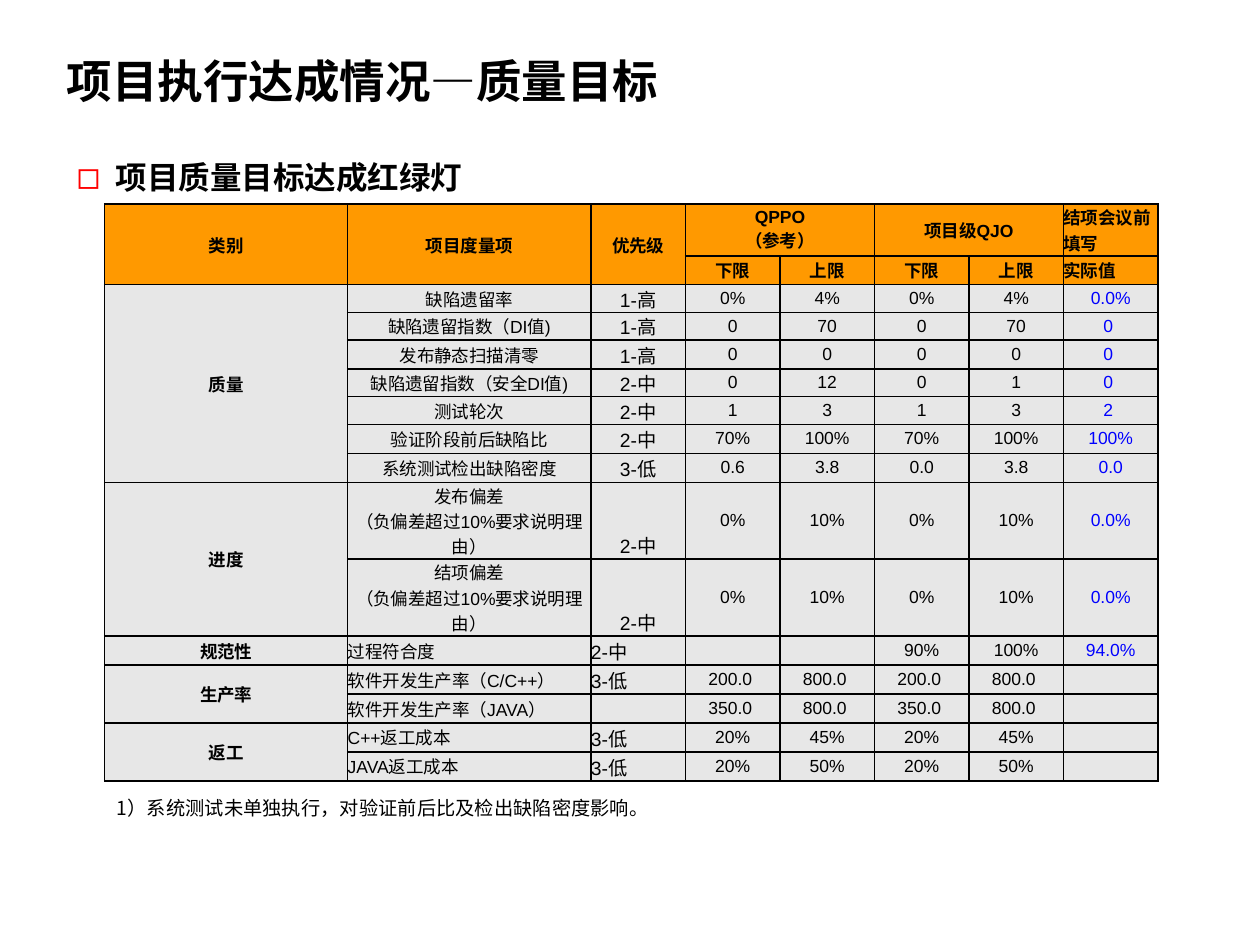
from lxml import etree
from pptx import Presentation
from pptx.dml.color import RGBColor
from pptx.enum.text import MSO_ANCHOR, MSO_AUTO_SIZE, PP_ALIGN
from pptx.oxml.ns import qn
from pptx.util import Inches, Pt

LEFT, CENTER = PP_ALIGN.LEFT, PP_ALIGN.CENTER
MIDDLE, BOTTOM = MSO_ANCHOR.MIDDLE, MSO_ANCHOR.BOTTOM
GROW, NO_FIT = MSO_AUTO_SIZE.SHAPE_TO_FIT_TEXT, MSO_AUTO_SIZE.NONE

BLACK = RGBColor(0x00, 0x00, 0x00)
RED = RGBColor(0xFF, 0x00, 0x00)
BLUE = RGBColor(0x00, 0x00, 0xFF)
ORANGE = RGBColor(0xFF, 0x99, 0x00)
GRAY = RGBColor(0xE7, 0xE7, 0xE7)

LATIN, CJK = "Arial", "Noto Sans CJK SC"
GRID_COLS, GRID_ROWS = 100, 75

# Header cells: row, column, text, rows spanned, columns spanned
HEADERS = [
    (0, 0, "类别", 2, 1), (0, 1, "项目度量项", 2, 1), (0, 2, "优先级", 2, 1),
    (0, 3, "QPPO\n（参考）", 1, 2), (0, 5, "项目级QJO", 1, 2),
    (0, 7, "结项会议前填写", 1, 1),
    (1, 3, "下限", 1, 1), (1, 4, "上限", 1, 1),
    (1, 5, "下限", 1, 1), (1, 6, "上限", 1, 1), (1, 7, "实际值", 1, 1),
]
# Category, alignment of its items, and item rows:
# item, priority, QPPO low and high, QJO low and high, actual value
OVERRUN = "\n（负偏差超过10%要求说明理由）"
GROUPS = [
    ("质量", CENTER, [
        ("缺陷遗留率", "1-高", "0%", "4%", "0%", "4%", "0.0%"),
        ("缺陷遗留指数（DI值)", "1-高", "0", "70", "0", "70", "0 "),
        ("发布静态扫描清零", "1-高", "0", "0", "0", "0", "0 "),
        ("缺陷遗留指数（安全DI值)", "2-中", "0", "12", "0", "1", "0 "),
        ("测试轮次", "2-中", "1", "3", "1", "3", "2 "),
        ("验证阶段前后缺陷比", "2-中", "70%", "100%", "70%", "100%", "100%"),
        ("系统测试检出缺陷密度", "3-低", "0.6", "3.8", "0.0", "3.8", "0.0"),
    ]),
    ("进度", CENTER, [
        ("发布偏差" + OVERRUN, "2-中", "0%", "10%", "0%", "10%", "0.0%"),
        ("结项偏差" + OVERRUN, "2-中", "0%", "10%", "0%", "10%", "0.0%"),
    ]),
    ("规范性", LEFT, [
        ("过程符合度", "2-中", "", "", "90%", "100%", "94.0%"),
    ]),
    ("生产率", LEFT, [
        ("软件开发生产率（C/C++）", "3-低", "200.0 ", "800.0 ", "200.0 ", "800.0 ", ""),
        ("软件开发生产率（JAVA）", "", "350.0 ", "800.0 ", "350.0 ", "800.0 ", ""),
    ]),
    ("返工", LEFT, [
        ("C++返工成本", "3-低", "20%", "45%", "20%", "45%", ""),
        ("JAVA返工成本", "3-低", "20%", "50%", "20%", "50%", ""),
    ]),
]
COL_WIDTHS = [19.3] * 2 + [7.5] * 6
ROW_HEIGHTS = [4.1, 2.3] + [2.2, 2.2, 2.3] * 2 + [2.3] + [6.1] * 2 + [2.3] * 5


class Deck:
    def __init__(self):
        self.prs = Presentation()
        self.prs.slide_width, self.prs.slide_height = Inches(10), Inches(7.5)
        self.s = self.prs.slides.add_slide(self.prs.slide_layouts[5])

    def x(self, cols):
        return int(self.prs.slide_width * cols / GRID_COLS)

    def y(self, rows):
        return int(self.prs.slide_height * rows / GRID_ROWS)

    def box(self, left, top, width, height):
        return self.x(left), self.y(top), self.x(width), self.y(height)

    def run(self, p, text, size, color=BLACK, bold=False, font=LATIN):
        for i, line in enumerate(text.split("\n")):
            if i:
                p.add_line_break()
            r = p.add_run()
            r.text = line
            f = r.font
            f.name, f.size, f.bold, f.color.rgb = font, Pt(size), bold, color
            etree.SubElement(r._r.get_or_add_rPr(), qn("a:ea"), typeface=CJK)

    def title(self, text, *place):
        sp = self.s.shapes.title
        sp.left, sp.top, sp.width, sp.height = self.box(*place)
        tf = sp.text_frame
        tf.auto_size, tf.vertical_anchor, tf.word_wrap = NO_FIT, MIDDLE, True
        p = tf.paragraphs[0]
        p.alignment = LEFT
        self.run(p, text, 26, bold=True)

    def text(self, *place):
        tf = self.s.shapes.add_textbox(*self.box(*place)).text_frame
        tf.word_wrap, tf.auto_size = True, GROW
        return tf.paragraphs[0]

    def bullet(self, p, char, indent):
        pPr = p._p.get_or_add_pPr()
        pPr.set("marL", str(self.x(indent)))
        pPr.set("indent", str(-self.x(indent)))
        etree.SubElement(pPr, qn("a:buFont"), typeface=CJK)
        etree.SubElement(pPr, qn("a:buChar"), char=char)

    def table(self, left, top, widths, heights):
        place = self.box(left, top, sum(widths), sum(heights))
        table = self.s.shapes.add_table(len(heights), len(widths), *place).table
        table.first_row = table.horz_banding = False
        for col, width in zip(table.columns, widths):
            col.width = self.x(width)
        for row, height in zip(table.rows, heights):
            row.height = self.y(height)
        for cell in table.iter_cells():
            self.border(cell)
        return table

    def border(self, cell):
        tcPr = cell._tc.get_or_add_tcPr()
        for side in ("a:lnL", "a:lnR", "a:lnT", "a:lnB"):
            ln = etree.SubElement(tcPr, qn(side), w=str(Pt(1)))
            fill = etree.SubElement(ln, qn("a:solidFill"))
            etree.SubElement(fill, qn("a:srgbClr"), val=str(BLACK))

    def cell(self, cell, text, fill, align=CENTER, anchor=MIDDLE, size=10, **style):
        cell.fill.solid()
        cell.fill.fore_color.rgb = fill
        cell.margin_left = cell.margin_right = cell.margin_top = cell.margin_bottom = 0
        cell.vertical_anchor = anchor
        p = cell.text_frame.paragraphs[0]
        p.alignment = align
        if text:
            self.run(p, text, size, **style)
        else:
            etree.SubElement(p._p, qn("a:endParaRPr"), sz=str(size * 100))


def main():
    d = Deck()

    # Title, section heading and footnote
    d.title("项目执行达成情况—质量目标", 4.3, 3.6, 74.8, 5.5)
    p = d.text(5.1, 11.5, 66.1, 4.7)
    d.bullet(p, "◻", 2.4)
    d.run(p, " ", 22, RED, font=CJK)
    d.run(p, "项目质量目标达成红绿灯", 18, bold=True, font=CJK)
    p = d.text(8.3, 62.7, 82.7, 2.9)
    d.run(p, "1）系统测试未单独执行，对验证前后比及检出缺陷密度影响。", 11, font=CJK)

    # Table header
    table = d.table(8.3, 16.2, COL_WIDTHS, ROW_HEIGHTS)
    last = len(COL_WIDTHS) - 1
    for row, col, text, rows, cols in HEADERS:
        cell = table.cell(row, col)
        if rows * cols > 1:
            cell.merge(table.cell(row + rows - 1, col + cols - 1))
        d.cell(cell, text, ORANGE, LEFT if col == last else CENTER, bold=True)

    # Table body
    row = 2
    for category, align, items in GROUPS:
        head = table.cell(row, 0)
        if len(items) > 1:
            head.merge(table.cell(row + len(items) - 1, 0))
        d.cell(head, category, GRAY, bold=True)
        for item, priority, *values in items:
            d.cell(table.cell(row, 1), item, GRAY, align)
            d.cell(table.cell(row, 2), priority, GRAY, align, BOTTOM, size=11)
            for col, value in enumerate(values, 3):
                d.cell(table.cell(row, col), value, GRAY,
                       color=BLUE if col == last else BLACK)
            row += 1

    d.prs.save("out.pptx")


if __name__ == "__main__":
    main()
